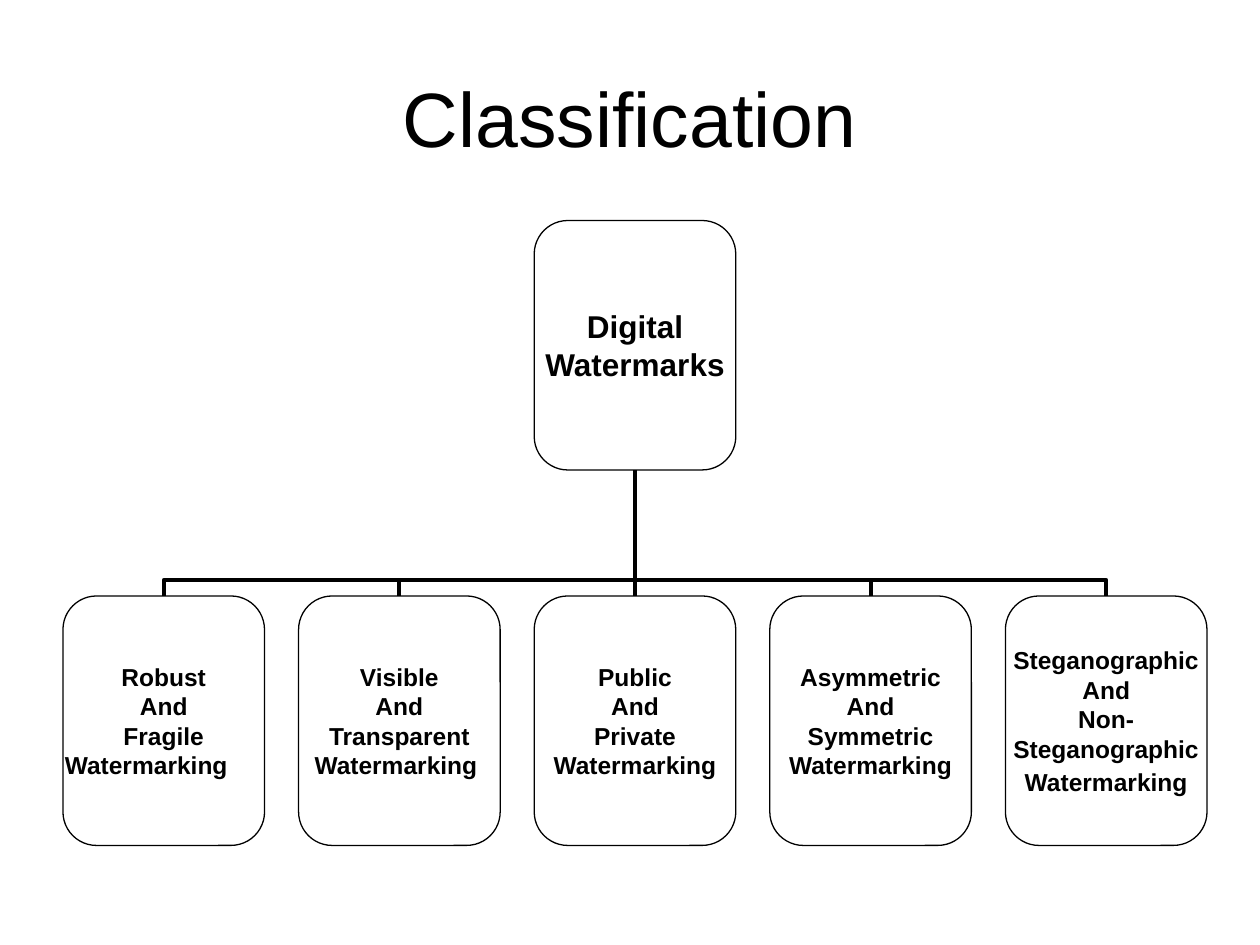
"""Build the classification slide: one root box joined to five kinds of digital watermarking."""
import pptx
import pptx.dml.color
import pptx.enum.shapes
import pptx.enum.text
import pptx.oxml
import pptx.oxml.ns
import pptx.util
from pptx.util import Inches

COLORS = {"ink": "000000", "paper": "FFFFFF"}
KINDS = [
    "Robust\nAnd\nFragile\nWatermarking\t",
    "Visible\nAnd\nTransparent\nWatermarking ",
    "Public\nAnd\nPrivate\nWatermarking",
    "Asymmetric\nAnd\nSymmetric\nWatermarking",
    "Steganographic\nAnd\nNon-\nSteganographic\nWatermarking",
]
BOX_WIDTH, BOX_HEIGHT = 1.6, 1.98
FIRST_LEFT, PITCH = 0.5, 1.87
ROOT_TOP, KINDS_TOP = 1.75, 4.73
ROOT_LEFT = FIRST_LEFT + 2 * PITCH
DROP = KINDS_TOP - ROOT_TOP - BOX_HEIGHT


def write_text(shape, text, size, bold=False, wrap=False, inset=(0, 0)):
    frame = shape.text_frame
    frame.text = text
    frame.word_wrap = wrap
    frame.vertical_anchor = pptx.enum.text.MSO_ANCHOR.MIDDLE
    frame.margin_left = frame.margin_right = Inches(inset[0])
    frame.margin_top = frame.margin_bottom = Inches(inset[1])
    for paragraph in frame.paragraphs:
        paragraph.alignment = pptx.enum.text.PP_ALIGN.CENTER
        for run in paragraph.runs:
            run.font.name = "Arial"
            run.font.size = pptx.util.Pt(size)
            run.font.bold = bold
            run.font.color.rgb = pptx.dml.color.RGBColor.from_string(COLORS["ink"])


def add_box(slide, left, top, text, size):
    box = slide.shapes.add_shape(
        pptx.enum.shapes.MSO_SHAPE.ROUNDED_RECTANGLE,
        Inches(left), Inches(top), Inches(BOX_WIDTH), Inches(BOX_HEIGHT))
    box.shadow.inherit = False
    box.fill.solid()
    box.fill.fore_color.rgb = pptx.dml.color.RGBColor.from_string(COLORS["paper"])
    box.line.color.rgb = pptx.dml.color.RGBColor.from_string(COLORS["ink"])
    box.line.width = pptx.util.Pt(0.75)
    write_text(box, text, size=size, bold=True)
    return box


deck = pptx.Presentation()
deck.slide_width, deck.slide_height = Inches(10), Inches(7.5)
slide = deck.slides.add_slide(deck.slide_layouts[5])

title = slide.shapes.title
title.left, title.top, title.width, title.height = Inches(0.5), Inches(0.3), Inches(9), Inches(1.25)
write_text(title, "Classification", size=44, wrap=True, inset=(0.1, 0.05))

root = add_box(slide, ROOT_LEFT, ROOT_TOP, "Digital\nWatermarks", 18)
kind_boxes = [add_box(slide, FIRST_LEFT + column * PITCH, KINDS_TOP, kind, 14)
              for column, kind in enumerate(KINDS)]

robust_end = kind_boxes[0].text_frame.paragraphs[-1]
tab_stops = pptx.oxml.parse_xml(
    f'<a:tabLst {pptx.oxml.ns.nsdecls("a")}><a:tab pos="{Inches(1.57)}" algn="l"/></a:tabLst>')
robust_end._p.get_or_add_pPr().append(tab_stops)
kind_boxes[-1].text_frame.paragraphs[-1].space_before = pptx.util.Pt(2)

for column, kind_box in enumerate(kind_boxes):
    offset = (column - 2) * PITCH
    middle = ROOT_LEFT + BOX_WIDTH / 2 + offset / 2
    branch = slide.shapes.add_connector(pptx.enum.shapes.MSO_CONNECTOR.ELBOW, 0, 0, 0, 0)
    branch.begin_connect(kind_box, 0)
    branch.end_connect(root, 2)
    branch.left = Inches(middle - DROP / 2)
    branch.top = Inches(KINDS_TOP - DROP / 2 - abs(offset) / 2)
    branch.width, branch.height = Inches(DROP), Inches(abs(offset))
    branch.line.color.rgb = pptx.dml.color.RGBColor.from_string(COLORS["ink"])
    branch.line.width = pptx.util.Pt(2.25)
    properties = branch._element.spPr
    turn = properties.find(pptx.oxml.ns.qn("a:xfrm"))
    turn.set("rot", str((90 if offset < 0 else 270) * 60000))
    turn.set("flipH", "1" if offset < 0 else "0")
    turn.set("flipV", "1")
    bend = properties.find(pptx.oxml.ns.qn("a:prstGeom")).find(pptx.oxml.ns.qn("a:avLst"))
    bend.append(pptx.oxml.parse_xml(
        f'<a:gd {pptx.oxml.ns.nsdecls("a")} name="adj1" fmla="val 12700"/>'))
    properties.append(pptx.oxml.parse_xml(f'<a:effectLst {pptx.oxml.ns.nsdecls("a")}/>'))

deck.save("out.pptx")
